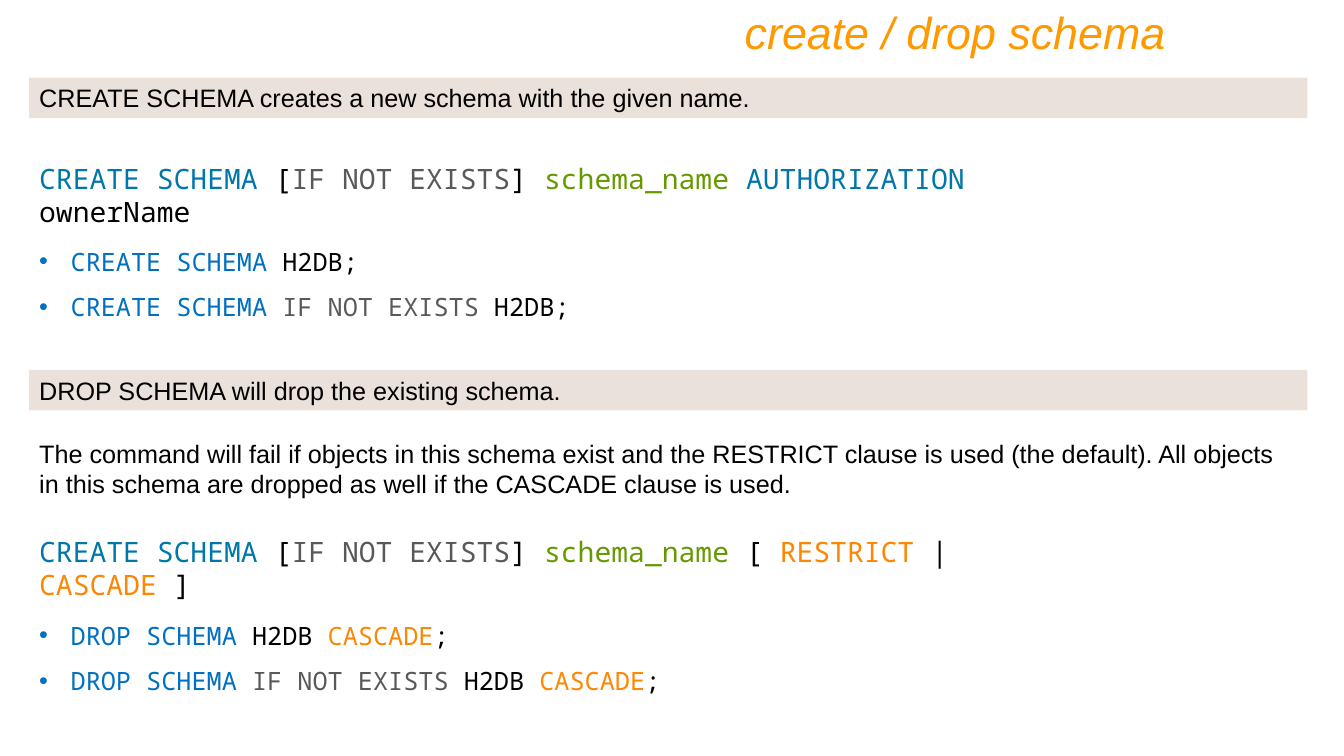
from lxml.etree import SubElement
from pptx import Presentation
from pptx.dml.color import RGBColor
from pptx.enum.shapes import MSO_SHAPE
from pptx.enum.text import MSO_ANCHOR, PP_ALIGN
from pptx.oxml.ns import qn
from pptx.util import Pt

# Content: each paragraph is a list of (text, colour) runs
BLACK, GRAY, GREEN = "000000", "595959", "669900"
TEAL, BLUE, ORANGE = "0077AA", "0070C0", "FD8603"
TITLE = [("create / drop schema", "FF9900")]
SYNTAX = [("CREATE SCHEMA ", TEAL), ("[", BLACK), ("IF NOT EXISTS", GRAY),
          ("] ", BLACK), ("schema_name ", GREEN)]
CASCADE = [("H2DB ", BLACK), ("CASCADE", ORANGE), (";", BLACK)]
IF_NOT_EXISTS = ("IF NOT EXISTS ", GRAY)
NOTE = ("The command will fail if objects in this schema exist and the RESTRICT "
        "clause is used (the default). All objects in this schema are dropped "
        "as well if the CASCADE clause is used.")

# Formats
HEADING = {"size": Pt(32), "name": "Arial", "italic": True}
BODY = {"size": Pt(18), "name": "Arial"}
CODE = {"size": Pt(20), "name": "Noto Sans Mono"}
EXAMPLE = {"size": Pt(18), "name": "Noto Sans Mono"}

# Layout in points
LEFT, FULL_W, CODE_W = 20.9, 913, 692
BAR_H, CODE_H, LIST_H, NOTE_H = 29, 32, 69, 51
INDENT = 22.5

# Sections: bar text and top, optional note, syntax and examples with tops
SECTIONS = [
    {"bar": ("CREATE SCHEMA creates a new schema with the given name.", 55.4),
     "syntax": (SYNTAX + [("AUTHORIZATION ", TEAL), ("ownerName", BLACK)], 111.6),
     "examples": ([[("CREATE SCHEMA ", BLUE), ("H2DB;", BLACK)],
                   [("CREATE SCHEMA ", BLUE), IF_NOT_EXISTS, ("H2DB;", BLACK)]],
                  161.3)},
    {"bar": ("DROP SCHEMA will drop the existing schema.", 264.2),
     "note": (NOTE, 309.6),
     "syntax": (SYNTAX + [("[ ", BLACK), ("RESTRICT ", ORANGE), ("| ", BLACK),
                          ("CASCADE ", ORANGE), ("]", BLACK)], 378),
     "examples": ([[("DROP SCHEMA ", BLUE)] + CASCADE,
                   [("DROP SCHEMA ", BLUE), IF_NOT_EXISTS] + CASCADE],
                  428.4)},
]


def rgb(code):
    return RGBColor.from_string(code)


def add_bullet(p):
    pPr = p._p.get_or_add_pPr()
    pPr.set("marL", str(Pt(INDENT)))
    pPr.set("indent", str(-Pt(INDENT)))
    SubElement(pPr, qn("a:buFont")).set("typeface", "Arial")
    SubElement(pPr, qn("a:buChar")).set("char", "•")
    p.line_spacing = 1.5


def write(sp, paragraphs, style, align=PP_ALIGN.LEFT, bullets=False):
    tf = sp.text_frame
    tf.word_wrap = True
    tf.vertical_anchor = MSO_ANCHOR.TOP
    for i, runs in enumerate(paragraphs):
        p = tf.add_paragraph() if i else tf.paragraphs[0]
        p.alignment = align
        if bullets:
            add_bullet(p)
        for text, color in runs:
            r = p.add_run()
            r.text = text
            r.font.color.rgb = rgb(color)
            for key, value in style.items():
                setattr(r.font, key, value)


def add_text(s, box, paragraphs, style, **options):
    sp = s.shapes.add_textbox(*map(Pt, box))
    write(sp, paragraphs, style, **options)


def add_bar(s, text, top):
    sp = s.shapes.add_shape(MSO_SHAPE.RECTANGLE,
                            *map(Pt, (LEFT, top, FULL_W, BAR_H)))
    sp.shadow.inherit = False
    sp.fill.solid()
    sp.fill.fore_color.rgb = rgb("EAE2DA")
    sp.line.fill.background()
    write(sp, [[(text, BLACK)]], BODY)


prs = Presentation()
prs.slide_width, prs.slide_height = Pt(960), Pt(540)
s = prs.slides.add_slide(prs.slide_layouts[6])

# Title
add_text(s, (120, 0, 720, 46), [TITLE], HEADING, align=PP_ALIGN.RIGHT)

# Schema sections
for section in SECTIONS:
    add_bar(s, *section["bar"])
    if "note" in section:
        note, top = section["note"]
        add_text(s, (LEFT, top, FULL_W, NOTE_H), [[(note, BLACK)]], BODY)
    syntax, top = section["syntax"]
    add_text(s, (LEFT, top, CODE_W, CODE_H), [syntax], CODE)
    examples, top = section["examples"]
    add_text(s, (LEFT, top, CODE_W, LIST_H), examples, EXAMPLE, bullets=True)

prs.save("out.pptx")
